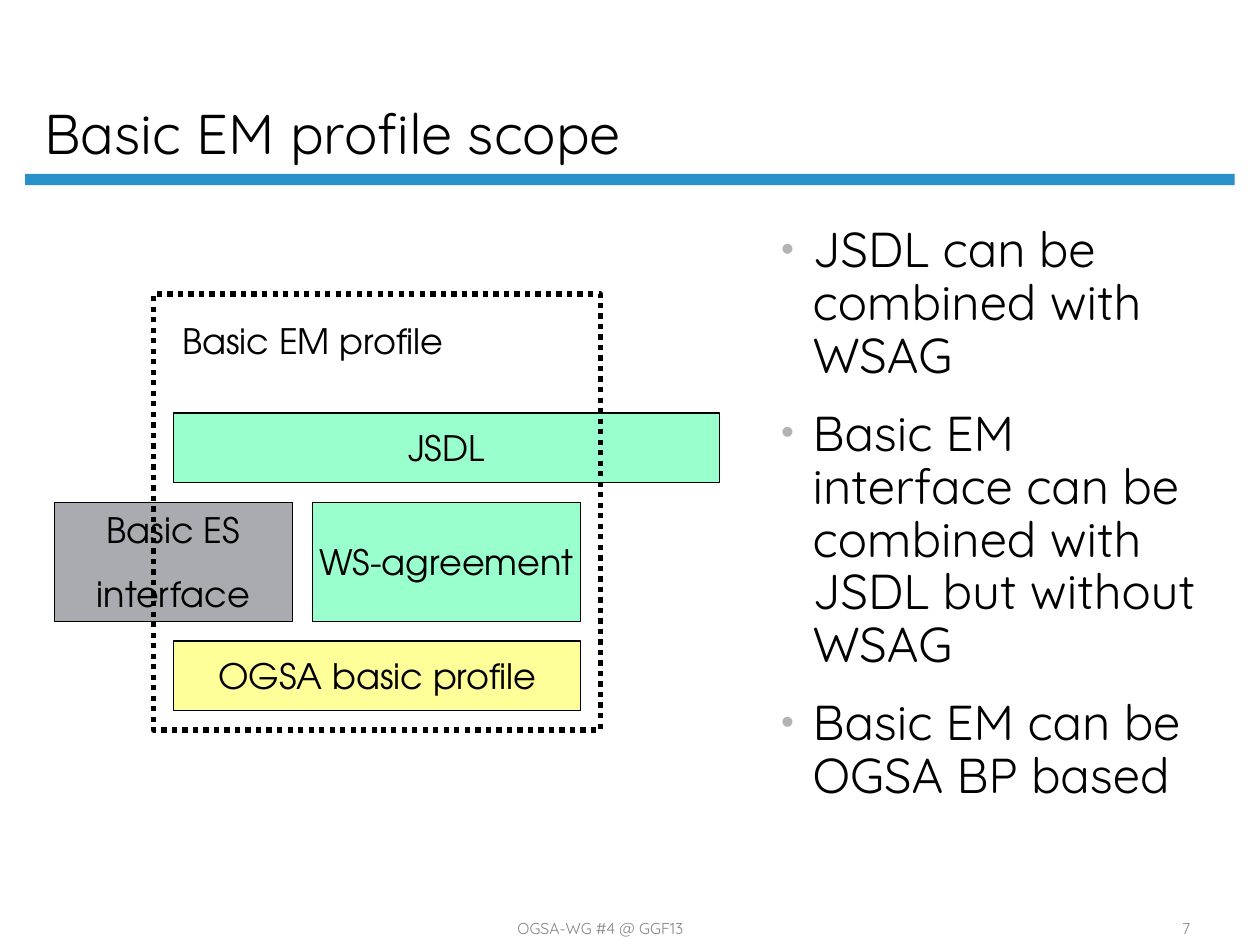
from lxml import etree
from pptx import Presentation
from pptx.dml.color import RGBColor
from pptx.enum.dml import MSO_LINE
from pptx.enum.shapes import MSO_SHAPE
from pptx.enum.text import MSO_ANCHOR, MSO_AUTO_SIZE, PP_ALIGN
from pptx.oxml import parse_xml
from pptx.oxml.ns import nsdecls
from pptx.util import Pt

BLACK = RGBColor(0x00, 0x00, 0x00)
BLUE = RGBColor(0x29, 0x90, 0xCA)
GRAY = RGBColor(0xAA, 0xAB, 0xB0)
GREEN = RGBColor(0x99, 0xFF, 0xCC)
YELLOW = RGBColor(0xFF, 0xFF, 0x99)
FOOTER_GRAY = RGBColor(0x84, 0x85, 0x89)
BULLET_GRAY = RGBColor(0xB2, 0xB3, 0xB5)
TEXT_FONT = "Quicksand"
DIAGRAM_FONT = "TeX Gyre Adventor"


def write_text(shape, text, size, font=TEXT_FONT, color=BLACK, align=PP_ALIGN.LEFT,
               anchor=MSO_ANCHOR.TOP, wrap=True, line_spacing=1.0,
               before=0, after=0, bullet=False):
    frame = shape.text_frame
    frame.text = text
    frame.auto_size = MSO_AUTO_SIZE.NONE
    frame.word_wrap = wrap
    frame.vertical_anchor = anchor
    for index, paragraph in enumerate(frame.paragraphs):
        if bullet:
            properties = paragraph._p.get_or_add_pPr()
            properties.set("marL", str(Pt(18)))
            properties.set("indent", str(-Pt(18)))
            for xml in (f'<a:buClr {nsdecls("a")}><a:srgbClr val="{BULLET_GRAY}"/></a:buClr>',
                        f'<a:buSzPct {nsdecls("a")} val="75000"/>',
                        f'<a:buChar {nsdecls("a")} char="•"/>'):
                properties.append(parse_xml(xml))
        paragraph.alignment = align
        paragraph.line_spacing = line_spacing
        paragraph.space_before = Pt(before if index else 0)
        paragraph.space_after = Pt(after)
        for run in paragraph.runs:
            run.font.size = Pt(size)
            run.font.name = font
            run.font.color.rgb = color


def add_rectangle(left, top, width, height, fill=None, line_width=None):
    shape = slide.shapes.add_shape(MSO_SHAPE.RECTANGLE, Pt(left), Pt(top), Pt(width), Pt(height))
    shape.shadow.inherit = False
    if fill is None:
        shape.fill.background()
    else:
        shape.fill.solid()
        shape.fill.fore_color.rgb = fill
    if line_width is None:
        shape.line.fill.background()
    else:
        shape.line.color.rgb = BLACK
        shape.line.width = Pt(line_width)
    return shape


presentation = Presentation()
presentation.slide_width = Pt(720)
presentation.slide_height = Pt(540)
slide = presentation.slides.add_slide(presentation.slide_layouts[1])

title, body = slide.placeholders
title.left, title.top, title.width, title.height = Pt(18), Pt(8.6), Pt(616.3), Pt(90)
write_text(title, "Basic EM profile scope", size=32, anchor=MSO_ANCHOR.BOTTOM, line_spacing=0.9)
add_rectangle(14.4, 99.3, 691.2, 6.5, fill=BLUE)

body.left, body.top, body.width, body.height = Pt(439.2), Pt(125.3), Pt(256.3), Pt(396)
points = [
    "JSDL can be combined with WSAG",
    "Basic EM interface can be combined with JSDL but without WSAG",
    "Basic EM can be OGSA BP based",
]
write_text(body, "\n".join(points), size=28, line_spacing=0.9, before=10.5, after=3.5, bullet=True)

components = [
    ("Basic ES\ninterface", 31, 287, 136.3, 68.2, GRAY),
    ("JSDL", 99.2, 236, 311.8, 39.7, GREEN),
    ("WS-agreement", 178.5, 287, 153.4, 68.2, GREEN),
    ("OGSA basic profile", 99.2, 366.3, 232.7, 39.7, YELLOW),
]
for text, left, top, width, height, fill in components:
    component = add_rectangle(left, top, width, height, fill=fill, line_width=0.75)
    write_text(component, text, size=20, font=DIAGRAM_FONT, align=PP_ALIGN.CENTER,
               anchor=MSO_ANCHOR.MIDDLE, wrap=False, before=12.5)

profile_frame = add_rectangle(87.8, 168, 255.2, 249.2, line_width=3)
profile_frame.line.dash_style = MSO_LINE.ROUND_DOT

profile_label = slide.shapes.add_textbox(Pt(96.5), Pt(179.3), Pt(164.2), Pt(31.7))
write_text(profile_label, "Basic EM profile", size=20, font=DIAGRAM_FONT,
           align=PP_ALIGN.CENTER, wrap=False)

for text, left, width in (("OGSA-WG #4 @ GGF13", 167.8, 350.6), ("7", 648, 59.8)):
    footer = slide.shapes.add_textbox(Pt(left), Pt(522), Pt(width), Pt(17.3))
    write_text(footer, text, size=9, color=FOOTER_GRAY, align=PP_ALIGN.CENTER,
               anchor=MSO_ANCHOR.BOTTOM)

presentation.save("out.pptx")
